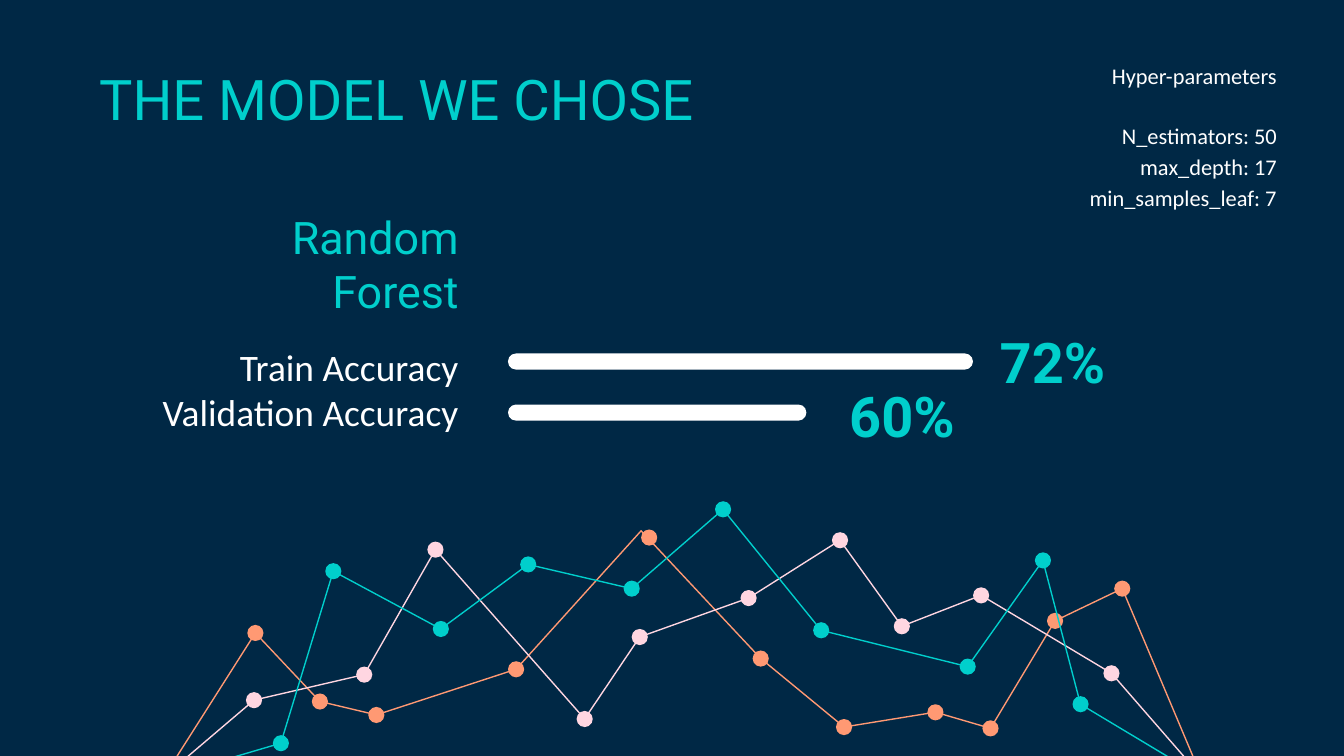
from pptx import Presentation
from pptx.dml.color import RGBColor
from pptx.enum.shapes import MSO_SHAPE
from pptx.enum.text import MSO_ANCHOR, PP_ALIGN
from pptx.util import Inches, Pt

OVAL, BAR = MSO_SHAPE.OVAL, MSO_SHAPE.ROUNDED_RECTANGLE
TOP, BOTTOM = MSO_ANCHOR.TOP, MSO_ANCHOR.BOTTOM
LEFT, RIGHT = PP_ALIGN.LEFT, PP_ALIGN.RIGHT

COLORS = {
    "navy": "002845",
    "teal": "00CFCC",
    "orange": "FF9973",
    "pink": "FFD6E1",
    "white": "FFFFFF",
}
RGB = {name: RGBColor.from_string(code) for name, code in COLORS.items()}

# Widescreen page, 16:9
deck = Presentation()
deck.slide_width = Inches(10)
deck.slide_height = Inches(10 * 9 / 16)
page = deck.slides.add_slide(deck.slide_layouts[6])
page.background.fill.solid()
page.background.fill.fore_color.rgb = RGB["navy"]


def add_solid(kind, left, top, width, height, color):
    shape = page.shapes.add_shape(
        kind, Inches(left), Inches(top), Inches(width), Inches(height))
    shape.shadow.inherit = False
    shape.fill.solid()
    shape.fill.fore_color.rgb = RGB[color]
    shape.line.fill.background()
    return shape


def add_text(place, texts, font, size, color, align=LEFT, anchor=TOP, bold=False):
    box = page.shapes.add_textbox(*[Inches(value) for value in place])
    frame = box.text_frame
    frame.word_wrap = True
    frame.vertical_anchor = anchor
    frame.margin_left = frame.margin_right = Inches(0.1)
    frame.margin_top = frame.margin_bottom = Inches(0.1)
    for index, text in enumerate(texts):
        para = frame.add_paragraph() if index else frame.paragraphs[0]
        para.text = text
        para.alignment = align
        para.font.name = font
        para.font.size = Pt(size)
        para.font.bold = bold
        para.font.color.rgb = RGB[color]
    return frame


# Zigzag lines: the first and last points run past the bottom edge
zigzags = {
    "orange": [(1.22, 5.78), (1.9, 4.71), (2.38, 5.22), (2.8, 5.32), (3.84, 4.98),
               (4.77, 3.95), (5.66, 4.9), (6.28, 5.41), (6.96, 5.3), (7.37, 5.42),
               (7.85, 4.62), (8.35, 4.38), (8.94, 5.78)],
    "pink": [(1.22, 5.78), (1.89, 5.21), (2.71, 5.02), (3.24, 4.09), (4.35, 5.35),
             (4.76, 4.74), (5.57, 4.45), (6.25, 4.02), (6.71, 4.66), (7.3, 4.43),
             (8.27, 5.01), (8.94, 5.78)],
    "teal": [(1.24, 5.78), (2.09, 5.53), (2.48, 4.25), (3.28, 4.68), (3.93, 4.2),
             (4.7, 4.38), (5.38, 3.79), (6.11, 4.69), (7.2, 4.96), (7.76, 4.17),
             (8.04, 5.24), (8.94, 5.78)],
}
moved_dots = {(4.77, 3.95): (4.83, 4)}  # this dot sits beside its peak
DOT = 0.12
for color, points in zigzags.items():
    corners = [(Inches(x), Inches(y)) for x, y in points]
    builder = page.shapes.build_freeform(*corners[0])
    builder.add_line_segments(corners[1:], close=False)
    zigzag = builder.convert_to_shape()
    zigzag.shadow.inherit = False
    zigzag.fill.background()
    zigzag.line.color.rgb = RGB[color]
    zigzag.line.width = Pt(0.75)
    for point in points[1:-1]:
        x, y = moved_dots.get(point, point)
        add_solid(OVAL, x - DOT / 2, y - DOT / 2, DOT, DOT, color)

# Headings
add_text((0.64, 0.38, 5.17, 0.63), ["THE MODEL WE CHOSE"], "Roboto", 30, "teal")
add_text((1.29, 2.03, 2.22, 0.43), ["Random Forest"], "Roboto", 24, "teal",
         RIGHT, BOTTOM)

# Accuracy labels, bars and values
add_text((0.64, 2.46, 2.87, 0.71), ["Train Accuracy\nValidation Accuracy"],
         "Calibri", 20, "white", RIGHT)
scores = [
    ("72%", 2.63, 3.46, (7.34, 2.61, 1.31, 0.43)),
    ("60%", 3.01, 2.22, (6.22, 3.01, 1.42, 0.43)),
]
for score, top, width, place in scores:
    bar = add_solid(BAR, 3.78, top, width, 0.12, "white")
    bar.adjustments[0] = 0.5
    add_text(place, [score], "Roboto", 30, "teal", anchor=BOTTOM, bold=True)

# Hyper-parameters
settings = add_text(
    (6.1, 0.33, 3.5, 1.23),
    ["Hyper-parameters", "N_estimators: 50\nmax_depth: 17\nmin_samples_leaf: 7"],
    "Calibri", 12, "white", RIGHT)
for para in settings.paragraphs:
    para.line_spacing = 1.15
settings.paragraphs[1].space_before = Pt(16)

deck.save("out.pptx")
